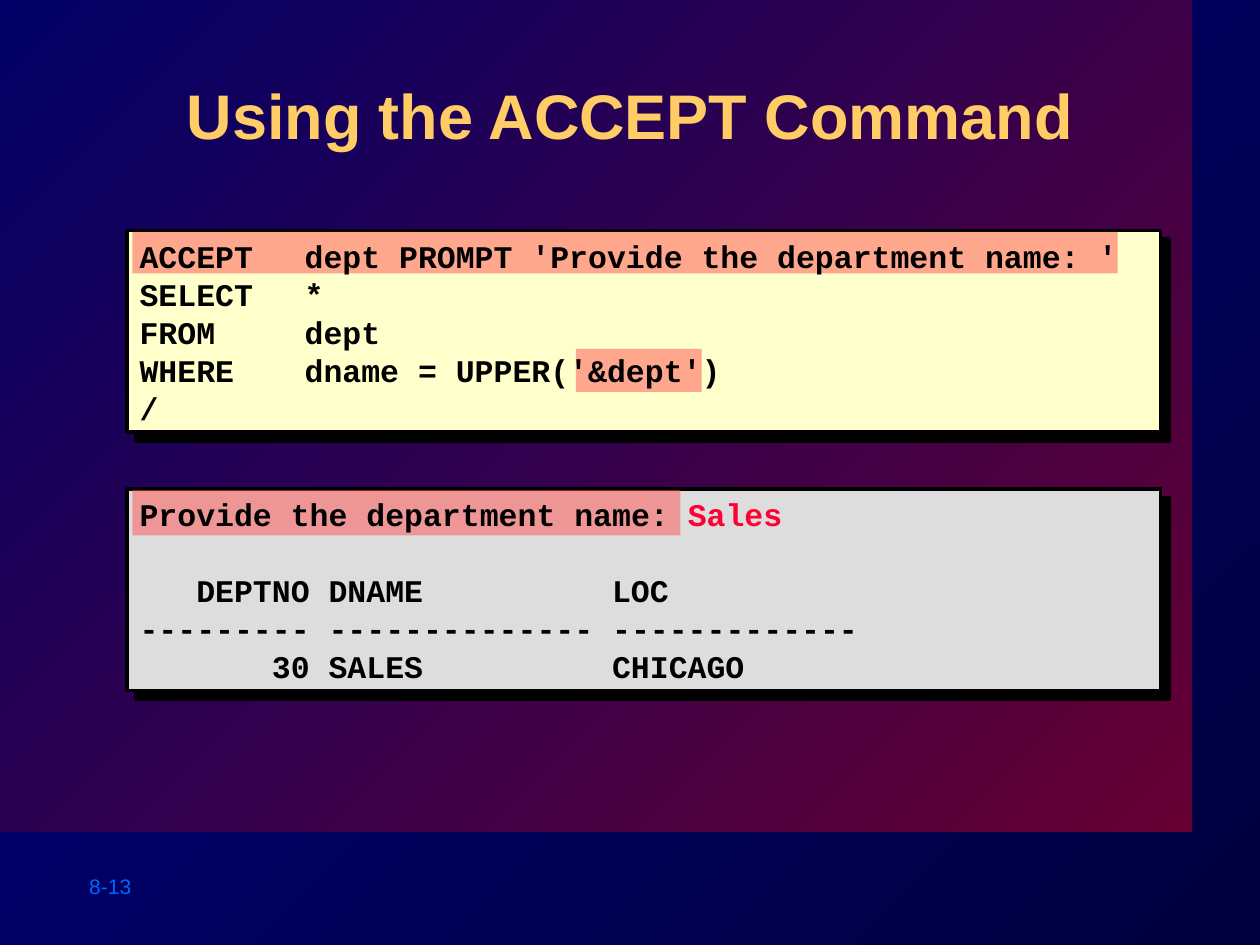
from dataclasses import dataclass

from lxml import etree
from pptx import Presentation, util as u
from pptx.dml import color
from pptx.enum import shapes, text
from pptx.oxml import ns

COLORS = {
    "black": "000000", "gold": "FFCC66", "code": "FFFFCC", "result": "DDDDDD",
    "highlight": "FF5050", "answer": "FF0033", "number": "0066FF",
    "night": "00003F", "navy": "000080", "wine": "660033", "indigo": "000066",
}
COLUMNS, ROWS = 100, 75
LINE_PITCH = 21.7  # points from one code line to the next

presentation = Presentation()
presentation.slide_width, presentation.slide_height = u.Inches(10), u.Inches(7.5)
CELL_WIDTH = presentation.slide_width / COLUMNS
CELL_HEIGHT = presentation.slide_height / ROWS


@dataclass
class Area:
    """A rectangle in grid columns and rows."""
    column: float
    row: float
    columns: float
    rows: float

    def lengths(self) -> list[int]:
        return [round(self.column * CELL_WIDTH), round(self.row * CELL_HEIGHT),
                round(self.columns * CELL_WIDTH), round(self.rows * CELL_HEIGHT)]


@dataclass
class Line:
    """One line of code: (text, colour) pieces and its tab stops."""
    pieces: list[tuple[str, str]]
    tabs: tuple = ((1.31, "l"),)
    space_before: float = 0


@dataclass
class Panel:
    area: Area
    fill: str
    highlights: list[Area]
    lines: list[Line]


def rgb(name: str) -> color.RGBColor:
    return color.RGBColor.from_string(COLORS[name])


def add_gradient(fill, start: str, end: str) -> None:
    fill.gradient()
    fill.gradient_angle = 135
    for stop, name, position in zip(fill.gradient_stops, (start, end), (0, 1)):
        stop.color.rgb = rgb(name)
        stop.position = position


def add_shadow(properties, distance: float) -> None:
    for old in properties.findall(ns.qn("a:effectLst")):
        properties.remove(old)
    effects = etree.Element(ns.qn("a:effectLst"))
    shadow = etree.SubElement(effects, ns.qn("a:outerShdw"), dist=str(u.Pt(distance)),
                              dir="2700000", algn="ctr", rotWithShape="0")
    etree.SubElement(shadow, ns.qn("a:srgbClr"), val=COLORS["black"])
    fill = properties.find(ns.qn("a:solidFill"))
    line = properties.find(ns.qn("a:ln"))
    (fill if line is None else line).addnext(effects)


def add_tabs(paragraph, tabs: tuple) -> None:
    tab_list = etree.SubElement(paragraph._p.get_or_add_pPr(), ns.qn("a:tabLst"))
    for inches, alignment in tabs:
        etree.SubElement(tab_list, ns.qn("a:tab"), pos=str(u.Inches(inches)), algn=alignment)


def add_text(paragraph, words: str, *, size: float, font: str, fill: str, bold: bool = False):
    run = paragraph.add_run()
    run.text = words
    run.font.size, run.font.name, run.font.bold = u.Pt(size), font, bold
    run.font.color.rgb = rgb(fill)
    return run


def add_rectangle(slide, area: Area):
    shape = slide.shapes.add_shape(shapes.MSO_SHAPE.RECTANGLE, *area.lengths())
    shape.shadow.inherit = False
    shape.line.fill.background()
    return shape


def add_highlight(slide, area: Area) -> None:
    shape = add_rectangle(slide, area)
    shape.fill.solid()
    shape.fill.fore_color.rgb = rgb("highlight")
    fill_color = shape._element.spPr.find(".//" + ns.qn("a:srgbClr"))
    etree.SubElement(fill_color, ns.qn("a:alpha"), val="50000")


def add_panel(slide, panel: Panel) -> None:
    shape = add_rectangle(slide, panel.area)
    shape.fill.solid()
    shape.fill.fore_color.rgb = rgb(panel.fill)
    shape.line.color.rgb = rgb("black")
    shape.line.width = u.Pt(2)
    add_shadow(shape._element.spPr, 7.1)
    for area in panel.highlights:
        add_highlight(slide, area)

    frame = slide.shapes.add_textbox(*panel.area.lengths()).text_frame
    frame.word_wrap = True
    frame.vertical_anchor = text.MSO_ANCHOR.MIDDLE
    for index, line in enumerate(panel.lines):
        paragraph = frame.add_paragraph() if index else frame.paragraphs[0]
        paragraph.line_spacing = u.Pt(LINE_PITCH)
        if line.space_before:
            paragraph.space_before = u.Pt(line.space_before)
        add_tabs(paragraph, line.tabs)
        for words, fill in line.pieces:
            add_text(paragraph, words, size=18, font="Courier New", fill=fill, bold=True)


def code(words: str, **options) -> Line:
    return Line([(words, "black")], **options)


# The result columns follow the 0.15 inch width of a character
RESULT_TABS = ((1.35, "r"), (1.5, "l"), (3.75, "l"))
PANELS = [
    Panel(Area(10.1, 18.3, 82, 16), "code",
          [Area(45.7, 27.7, 10, 3.4), Area(10.5, 18.4, 78.2, 3.3)],
          [code("ACCEPT\tdept PROMPT 'Provide the department name: '"),
           code("SELECT\t*"),
           code("FROM\tdept"),
           code("WHERE\tdname = UPPER('&dept')"),
           code("/")]),
    Panel(Area(10.1, 38.8, 82, 16), "result",
          [Area(10.5, 38.9, 43.5, 3.6)],
          [Line([("Provide the department name: ", "black"), ("Sales", "answer")]),
           code("\tDEPTNO\tDNAME\tLOC", tabs=RESULT_TABS, space_before=LINE_PITCH),
           code("--------- -------------- -------------"),
           code("\t30\tSALES\tCHICAGO", tabs=RESULT_TABS)]),
]

# Background
slide = presentation.slides.add_slide(presentation.slide_layouts[5])
add_gradient(slide.background.fill, "night", "navy")
add_gradient(add_rectangle(slide, Area(0, 0, 94.6, 66)).fill, "wine", "indigo")

# Title, raised above the backdrop
title = slide.shapes.title
slide.shapes._spTree.append(title._element)
title.left, title.top, title.width, title.height = Area(10.1, 5.6, 79.8, 9.6).lengths()
title.text_frame.vertical_anchor = text.MSO_ANCHOR.TOP
heading = title.text_frame.paragraphs[0]
heading.alignment = text.PP_ALIGN.CENTER
heading_run = add_text(heading, "Using the ACCEPT Command", size=36, font="Arial",
                       fill="gold", bold=True)
add_shadow(heading_run.font._element, 3)

# Code and its result
for panel in PANELS:
    add_panel(slide, panel)

# Page number
page_frame = slide.shapes.add_textbox(*Area(6.1, 68.8, 11.1, 3).lengths()).text_frame
page_frame.word_wrap = True
add_text(page_frame.paragraphs[0], "8-13", size=12, font="Arial", fill="number")

presentation.save("out.pptx")
